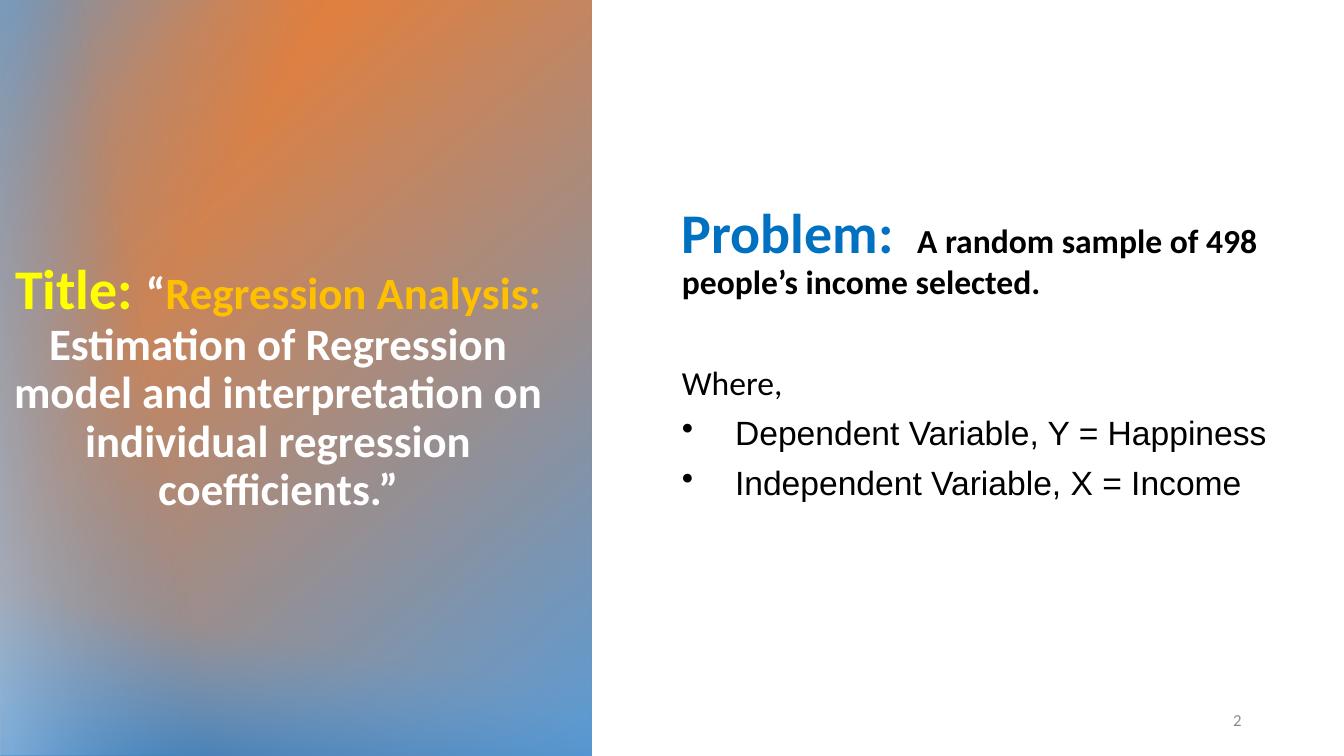
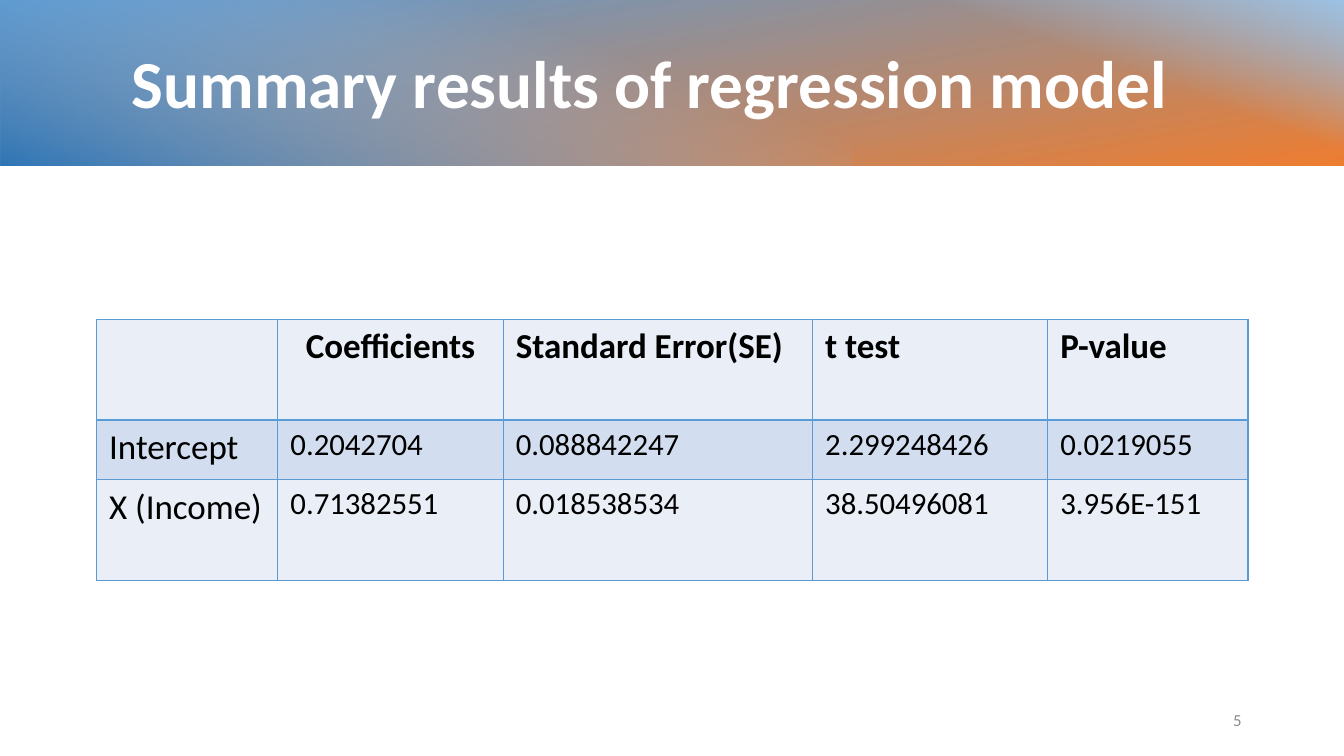
"""Build two slides on a regression of happiness on income."""
from pptx import Presentation
from pptx.dml.color import RGBColor
from pptx.enum.shapes import MSO_SHAPE
from pptx.enum.text import MSO_ANCHOR, PP_ALIGN
from pptx.oxml import parse_xml
from pptx.oxml.ns import nsdecls, qn
from pptx.util import Pt

WHITE = RGBColor(0xFF, 0xFF, 0xFF)
BLACK = RGBColor(0x00, 0x00, 0x00)
YELLOW = RGBColor(0xFF, 0xFF, 0x00)
GOLD = RGBColor(0xFF, 0xC0, 0x00)
ORANGE = RGBColor(0xED, 0x7D, 0x31)
BLUE = RGBColor(0x5B, 0x9B, 0xD5)
DEEP_BLUE = RGBColor(0x2E, 0x75, 0xB6)
LIGHT_BLUE = RGBColor(0x9D, 0xC3, 0xE6)
HEADING_BLUE = RGBColor(0x00, 0x70, 0xC0)
GREY = RGBColor(0x8C, 0x8C, 0x8C)
ROW_PALE = RGBColor(0xEA, 0xEF, 0xF7)
ROW_DARK = RGBColor(0xD2, 0xDE, 0xEF)


def add_gradient(page, place, rotation, flipped, angle, stops):
    """Add a rectangle whose stops are (position, colour, opacity) in percent."""
    shape = page.shapes.add_shape(MSO_SHAPE.RECTANGLE, *map(Pt, place))
    shape.shadow.inherit = False
    shape.line.fill.background()
    shape.rotation = rotation
    properties = shape._element.spPr
    if flipped:
        properties.find(qn("a:xfrm")).set("flipH", "1")
    shape.fill.background()
    marks = "".join(
        f'<a:gs pos="{position * 1000}"><a:srgbClr val="{colour}">'
        f'<a:alpha val="{opacity * 1000}"/></a:srgbClr></a:gs>'
        for position, colour, opacity in stops)
    gradient = parse_xml(
        f'<a:gradFill {nsdecls("a")} rotWithShape="1"><a:gsLst>{marks}</a:gsLst>'
        f'<a:lin ang="{angle * 60000}" scaled="0"/></a:gradFill>')
    properties.replace(properties.find(qn("a:noFill")), gradient)


def add_text(page, place, paragraphs, anchor=MSO_ANCHOR.TOP, align=PP_ALIGN.LEFT):
    """Add a box; each paragraph is (font, bold, space before, runs)."""
    box = page.shapes.add_textbox(*map(Pt, place))
    frame = box.text_frame
    frame.word_wrap = True
    frame.vertical_anchor = anchor
    for index, (font, bold, space, runs) in enumerate(paragraphs):
        para = frame.paragraphs[0] if index == 0 else frame.add_paragraph()
        para.alignment = align
        para.line_spacing = 0.9
        para.space_before = Pt(space)
        para.font.name = font
        para.font.bold = bold
        for text, size, colour in runs:
            span = para.add_run()
            span.text = text
            span.font.size = Pt(size)
            span.font.color.rgb = colour
    return frame.paragraphs


deck = Presentation()
deck.slide_width, deck.slide_height = Pt(960), Pt(540)
title_page, summary_page = [
    deck.slides.add_slide(deck.slide_layouts[6]) for _ in range(2)]

for place, rotation, flipped, angle, stops in [
    ((0, 0, 422.5, 540), 0, True, 130, [(15, ORANGE, 100), (100, BLUE, 100)]),
    ((0.5, 0, 422.5, 540), 180, True, 330, [(0, BLUE, 79), (32, BLUE, 0)]),
    ((126.5, 244, 170, 422.5), 90, False, 190, [(0, DEEP_BLUE, 100), (48, BLUE, 0)]),
    ((0, 0, 325, 540), 0, True, 190, [(2, LIGHT_BLUE, 68), (37, BLUE, 0)]),
]:
    add_gradient(title_page, place, rotation, flipped, angle, stops)

add_text(title_page, (0, 183, 397.5, 263), [
    ("Calibri", True, 0, [
        ("Title:\u00a0", 40, YELLOW),
        ("“", 32, WHITE),
        ("Regression Analysis:", 32, GOLD),
        (" Estimation of Regression model and interpretation on "
         "individual regression coefficients.”", 32, WHITE),
    ]),
], align=PP_ALIGN.CENTER)

problem, where, *variables = add_text(title_page, (480, 143, 437, 396), [
    ("Calibri", True, 10, [
        ("Problem:", 40, HEADING_BLUE),
        ("\tA random sample of 498 people’s income selected.", 24, BLACK),
    ]),
    ("Calibri", False, 46, [("Where,", 24, BLACK)]),
    ("Arial", False, 10, [("Dependent Variable, Y = Happiness", 24, BLACK)]),
    ("Arial", False, 10, [("Independent Variable, X = Income", 24, BLACK)]),
])
problem_properties = problem._p.get_or_add_pPr()
problem_properties.insert_element_before(parse_xml(
    f'<a:tabLst {nsdecls("a")}><a:tab pos="{Pt(168)}" algn="l"/></a:tabLst>'),
    "a:defRPr", "a:extLst")
for variable in variables:
    properties = variable._p.get_or_add_pPr()
    properties.set("marL", str(Pt(38)))
    properties.set("indent", str(-Pt(38)))
    properties.insert_element_before(
        parse_xml(f'<a:buChar {nsdecls("a")} char="•"/>'),
        "a:tabLst", "a:defRPr", "a:extLst")

for place, rotation, angle, stops in [
    ((421, -421, 118, 960), 270, 170, [(0, BLUE, 100), (100, ORANGE, 100)]),
    ((702, -140, 118, 398), 270, 20, [(59, LIGHT_BLUE, 0), (100, LIGHT_BLUE, 100)]),
    ((245, -245, 118, 608), 90, 20, [(29, LIGHT_BLUE, 0), (100, DEEP_BLUE, 100)]),
]:
    add_gradient(summary_page, place, rotation, False, angle, stops)

add_text(summary_page, (87, 27, 807, 70), [
    ("Calibri", True, 0, [("Summary results of regression model", 48, WHITE)]),
], MSO_ANCHOR.MIDDLE)

results = [
    ["", "Coefficients", "Standard\u00a0Error(SE)", "t test", "P-value"],
    ["Intercept", "0.2042704", "0.088842247", "2.299248426", "0.0219055"],
    ["X (Income)", "0.71382551", "0.018538534", "38.50496081", "3.956E-151"],
]
column_widths = [129.5, 161, 221, 168, 143]
row_heights = [72, 42.5, 72]
table = summary_page.shapes.add_table(
    len(results), len(column_widths), Pt(69), Pt(228),
    Pt(sum(column_widths)), Pt(sum(row_heights))).table
table.first_row = table.horz_banding = False
for column, width in zip(table.columns, column_widths):
    column.width = Pt(width)
for row, height in zip(table.rows, row_heights):
    row.height = Pt(height)
for row_index, texts in enumerate(results):
    for column_index, text in enumerate(texts):
        cell = table.cell(row_index, column_index)
        cell.margin_left = cell.margin_right = Pt(9)
        cell.margin_top = cell.margin_bottom = Pt(4.5)
        for side in ("lnL", "lnR", "lnT", "lnB"):
            cell._tc.get_or_add_tcPr().append(parse_xml(
                f'<a:{side} {nsdecls("a")} w="{Pt(1)}"><a:solidFill>'
                f'<a:srgbClr val="{BLUE}"/></a:solidFill></a:{side}>'))
        cell.fill.solid()
        cell.fill.fore_color.rgb = ROW_DARK if row_index == 1 else ROW_PALE
        cell.text = text
        para = cell.text_frame.paragraphs[0]
        if text == "Coefficients":
            para.alignment = PP_ALIGN.CENTER
        para.font.name = "Calibri"
        para.font.size = Pt(25 if row_index == 0 or column_index == 0 else 22)
        para.font.bold = row_index == 0
        para.font.color.rgb = BLACK

for page, number in [(title_page, "2"), (summary_page, "5")]:
    add_text(page, (678, 500.5, 216, 29),
             [("Calibri", False, 0, [(number, 12, GREY)])],
             MSO_ANCHOR.MIDDLE, PP_ALIGN.RIGHT)

deck.save("out.pptx")
